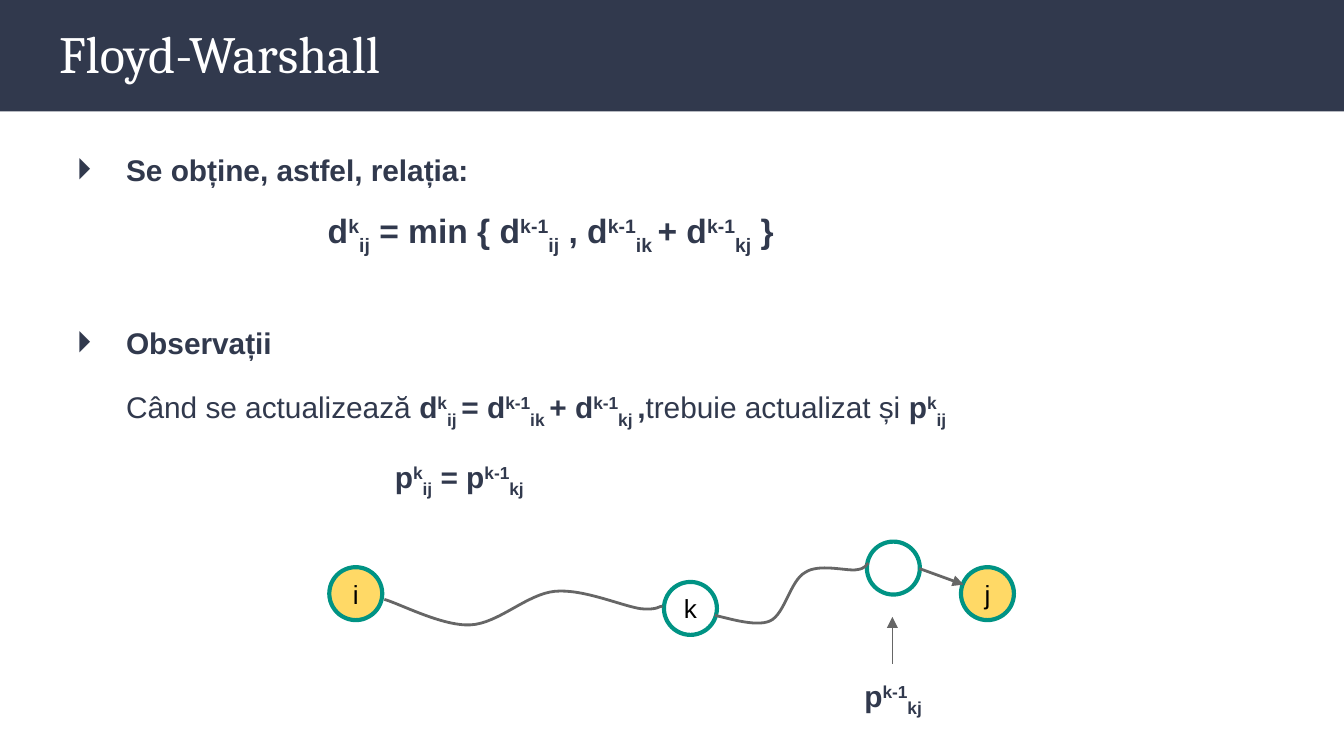
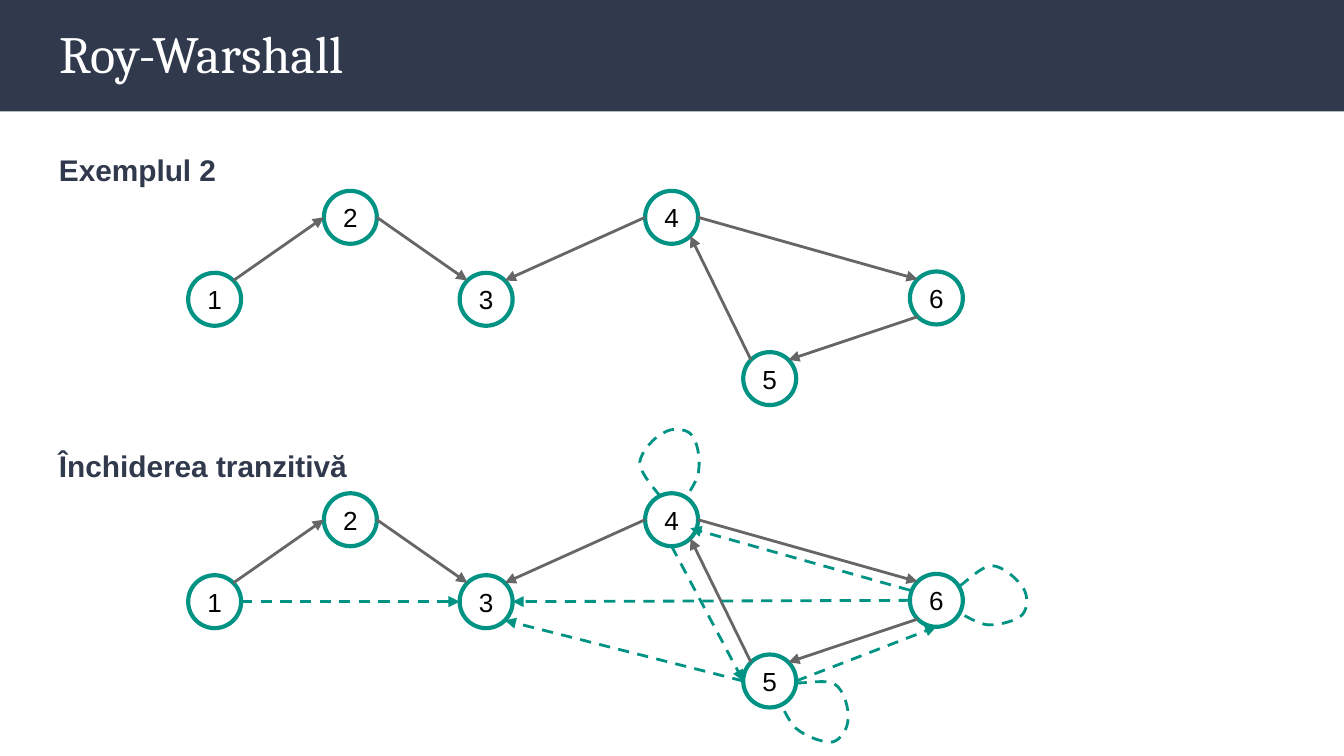
from lxml.etree import SubElement
from pptx import Presentation
from pptx.dml.color import RGBColor
from pptx.enum.dml import MSO_LINE
from pptx.enum.shapes import MSO_CONNECTOR, MSO_SHAPE
from pptx.enum.text import MSO_ANCHOR, MSO_AUTO_SIZE, PP_ALIGN
from pptx.oxml.ns import qn
from pptx.util import Inches, Pt

NAVY, TEAL, GRAY, YELLOW, WHITE, BLACK = (
    "31394D", "009384", "666666", "FFD966", "FFFFFF", "000000")
WIDTH, HEIGHT = Inches(10), Inches(5.625)
CELL = WIDTH / 100
NODE_SIZE = 3.94
BASELINES = {"^": 30000, "_": -25000, "|": 0}
DIAGONAL = 0.7071
COMPASS = {"N": (0, -1), "S": (0, 1), "W": (-1, 0), "E": (1, 0),
           "NW": (-DIAGONAL, -DIAGONAL), "NE": (DIAGONAL, -DIAGONAL),
           "SW": (-DIAGONAL, DIAGONAL), "SE": (DIAGONAL, DIAGONAL)}


def color(hex_string):
    return RGBColor.from_string(hex_string)


def grid(*cells):
    return [round(cell * CELL) for cell in cells]


def formatted_pieces(text, bold):
    """Marks: ^ raised, _ lowered, | back to the line, * toggles bold."""
    piece, baseline = "", 0
    for mark in text + "|":
        if mark not in BASELINES and mark != "*":
            piece += mark
            continue
        if piece:
            yield piece, baseline, bold
        piece = ""
        if mark == "*":
            bold = not bold
        baseline = BASELINES.get(mark, 0)


def write(frame, text, size=16, font="Arial", ink=NAVY, bold=False, align=None,
          left=0, hanging=0, before=0, after=0, spacing=None, bullet=None):
    first = not frame.paragraphs[0].runs
    paragraph = frame.paragraphs[0] if first else frame.add_paragraph()
    properties = paragraph._p.get_or_add_pPr()
    if left:
        properties.set("marL", str(Inches(left)))
        properties.set("indent", str(Inches(-hanging)))
    if bullet:
        tint = SubElement(properties, qn("a:buClr"))
        SubElement(tint, qn("a:srgbClr"), val=ink)
        SubElement(properties, qn("a:buFont"), typeface=font)
        SubElement(properties, qn("a:buChar"), char=bullet)
    if align is not None:
        paragraph.alignment = align
    if spacing:
        paragraph.line_spacing = spacing
    if before:
        paragraph.space_before = Pt(before)
    if after:
        paragraph.space_after = Pt(after)
    for piece, baseline, weight in formatted_pieces(text, bold):
        run = paragraph.add_run()
        run.text = piece
        run.font.size, run.font.name, run.font.bold = Pt(size), font, weight
        run.font.color.rgb = color(ink)
        if baseline:
            run._r.get_or_add_rPr().set("baseline", str(baseline))


class Deck:
    def __init__(self):
        self.presentation = Presentation()
        self.presentation.slide_width = WIDTH
        self.presentation.slide_height = HEIGHT
        self.slide = None

    def start(self, title):
        self.slide = self.presentation.slides.add_slide(
            self.presentation.slide_layouts[5])
        heading = self.slide.shapes.title
        heading.left, heading.top, heading.width, heading.height = grid(3.4, 0.6, 93.2, 6.8)
        self.inset(heading.text_frame, 0.1, MSO_ANCHOR.TOP)
        write(heading.text_frame, title, size=28, font="Cambria", ink=WHITE,
              align=PP_ALIGN.LEFT)
        band = self.slide.shapes.add_shape(MSO_SHAPE.RECTANGLE, *grid(0, 0, 100, 8.3))
        band.shadow.inherit = False
        band.fill.solid()
        band.fill.fore_color.rgb = color(NAVY)
        band.line.fill.background()
        heading.element.addprevious(band.element)

    def inset(self, frame, margin, anchor):
        frame.word_wrap = True
        frame.auto_size = MSO_AUTO_SIZE.NONE
        frame.vertical_anchor = anchor
        frame.margin_left = frame.margin_right = Inches(margin)
        frame.margin_top = frame.margin_bottom = Inches(margin)

    def text(self, x, y, width, height):
        frame = self.slide.shapes.add_textbox(*grid(x, y, width, height)).text_frame
        self.inset(frame, 0.1, MSO_ANCHOR.TOP)
        return frame

    def body(self):
        return self.text(3.4, 9.9, 93.2, 41.1)

    def stroke(self, line, ink, width, dashed=False):
        line.color.rgb = color(ink)
        line.width = Pt(width)
        if dashed:
            line.dash_style = MSO_LINE.DASH

    def node(self, label, x, y, fill=None):
        circle = self.slide.shapes.add_shape(
            MSO_SHAPE.OVAL, *grid(x, y, NODE_SIZE, NODE_SIZE))
        circle.shadow.inherit = False
        if fill:
            circle.fill.solid()
            circle.fill.fore_color.rgb = color(fill)
        else:
            circle.fill.background()
        self.stroke(circle.line, TEAL, 2.25)
        self.inset(circle.text_frame, 0.02, MSO_ANCHOR.MIDDLE)
        if label:
            write(circle.text_frame, label, size=14, ink=BLACK, align=PP_ALIGN.CENTER)

    def arrow(self, start, end, ink=GRAY, width=1.5, dashed=False):
        edge = self.slide.shapes.add_connector(
            MSO_CONNECTOR.STRAIGHT, *grid(*start, *end))
        self.stroke(edge.line, ink, width, dashed)
        SubElement(edge.line._get_or_add_ln(), qn("a:tailEnd"), type="triangle")
        SubElement(edge.element.spPr, qn("a:effectLst"))

    def curve(self, points, ink=GRAY, dashed=False):
        start, *rest = [grid(*point) for point in points]
        builder = self.slide.shapes.build_freeform(*start)
        builder.add_line_segments(rest, close=False)
        outline = builder.convert_to_shape()
        outline.shadow.inherit = False
        outline.fill.background()
        self.stroke(outline.line, ink, 1.5, dashed)
        track = outline.element.find(".//" + qn("a:path"))
        segments = track.findall(qn("a:lnTo"))
        for index in range(0, len(segments), 3):
            bend = SubElement(track, qn("a:cubicBezTo"))
            for segment in segments[index:index + 3]:
                bend.append(segment[0])
                track.remove(segment)

    def graph(self, nodes, edges, drop=0, ink=GRAY, dashed=False):
        def rim(name, side):
            x, y = nodes[name]
            across, down = COMPASS[side]
            radius = NODE_SIZE / 2
            return x + radius * (1 + across), y + drop + radius * (1 + down)

        for source, leaving, target, entering, *lift in edges:
            shift = lift[0] if lift else 0
            (x1, y1), (x2, y2) = rim(source, leaving), rim(target, entering)
            self.arrow((x1, y1 - shift), (x2, y2 - shift), ink, dashed=dashed)


def floyd_slide(deck):
    deck.start("Floyd-Warshall")
    body = deck.body()
    item = dict(left=0.5, hanging=0.37, spacing=1.15, bold=True, bullet="⏵")
    detail = dict(left=0.5, spacing=1.15, before=12)
    write(body, "Se obține, astfel, relația:", **item)
    write(body, "d^k_ij| = min { d^k-1_ij| , d^k-1_ik |+ d^k-1_kj| }",
          size=18, bold=True, left=2, before=12)
    write(body, "Observații", before=34, **item)
    write(body, "Când se actualizează *d^k_ij |= d^k-1_ik |+ d^k-1_kj |,"
                "*trebuie actualizat și *p^k_ij", **detail)
    write(body, "p^k_ij| = p^k-1_kj", bold=True, after=12, **{**detail, "left": 2.5})

    for label, x, y, fill in (("i", 24.5, 42.2, YELLOW), ("k", 49.4, 43.3, None),
                              ("j", 71.5, 42.2, YELLOW), ("", 64.5, 40.3, WHITE)):
        deck.node(label, x, y, fill)
    deck.curve([(28.6, 44.6), (29.7, 44.9), (32.9, 46.6), (35, 46.5),
                (37.1, 46.4), (39.2, 44.2), (41.3, 44), (43.4, 43.8),
                (46.3, 45.1), (47.7, 45.3), (49, 45.4), (49, 45.1), (49.3, 45.1)])
    deck.curve([(53.2, 45.8), (53.9, 45.9), (56.2, 46.7), (57.3, 46.2),
                (58.4, 45.7), (58.8, 43.2), (59.9, 42.6), (60.9, 41.9),
                (63, 42.5), (63.7, 42.4), (64.5, 42.3), (64.4, 42), (64.6, 41.9)])
    deck.arrow((68.4, 42.3), (71.7, 43.5))
    deck.arrow((66.4, 49.4), (66.4, 45.9), width=0.75)
    write(deck.text(57.7, 49.4, 17.5, 4.7), "p^k-1_kj", bold=True, align=PP_ALIGN.CENTER)


def roy_slide(deck):
    deck.start("Roy-Warshall")
    body = deck.body()
    write(body, "Exemplul 2", bold=True, spacing=1.15)
    write(body, "Închiderea tranzitivă", bold=True, spacing=1.15, before=136.5, after=12)

    nodes = {"1": (14, 20.3), "2": (24.1, 14.2), "3": (34.2, 20.3),
             "4": (48, 14.2), "5": (55.3, 26.2), "6": (67.7, 20.2)}
    given = [("1", "NE", "2", "W"), ("2", "E", "3", "NW"), ("4", "W", "3", "NE"),
             ("5", "NW", "4", "SE"), ("6", "SW", "5", "NE"), ("4", "E", "6", "NW")]
    closure = [("1", "E", "3", "W"), ("6", "W", "4", "SE", 0.75), ("5", "W", "3", "SE"),
               ("6", "W", "3", "E"), ("5", "E", "6", "S"), ("4", "S", "5", "W")]
    closure_drop = 22.5
    for drop in (0, closure_drop):
        for label, (x, y) in nodes.items():
            deck.node(label, x, y + drop)
        deck.graph(nodes, given, drop)
    deck.graph(nodes, closure, closure_drop, TEAL, dashed=True)

    loops = (
        [(49.1, 36.9), (48.8, 36.5), (47.6, 35.2), (47.6, 34.4),
         (47.7, 33.6), (48.7, 32.5), (49.4, 32.2), (50, 31.8),
         (51, 31.9), (51.4, 32.3), (51.9, 32.8), (52.1, 34.1), (52, 34.9),
         (52, 35.7), (51.2, 36.7), (51, 37.1)],
        [(71.4, 43.6), (71.8, 43.4), (73, 42.1), (73.8, 42.1),
         (74.6, 42.1), (75.7, 43.1), (76.1, 43.7), (76.5, 44.3),
         (76.5, 45.2), (76.1, 45.7), (75.7, 46.2), (74.4, 46.5), (73.6, 46.5),
         (72.8, 46.5), (71.7, 45.7), (71.3, 45.6)],
        [(59.2, 50.8), (59.7, 50.9), (61.5, 50.5), (62.1, 50.9),
         (62.8, 51.3), (63.2, 52.8), (63.1, 53.5), (63.1, 54.2),
         (62.6, 55), (62, 55.2), (61.4, 55.3), (60.2, 54.9), (59.5, 54.4),
         (58.8, 54), (58.3, 52.7), (58.1, 52.4)],
    )
    for loop in loops:
        deck.curve(loop, TEAL, dashed=True)


def main():
    deck = Deck()
    floyd_slide(deck)
    roy_slide(deck)
    deck.presentation.save("out.pptx")


if __name__ == "__main__":
    main()
